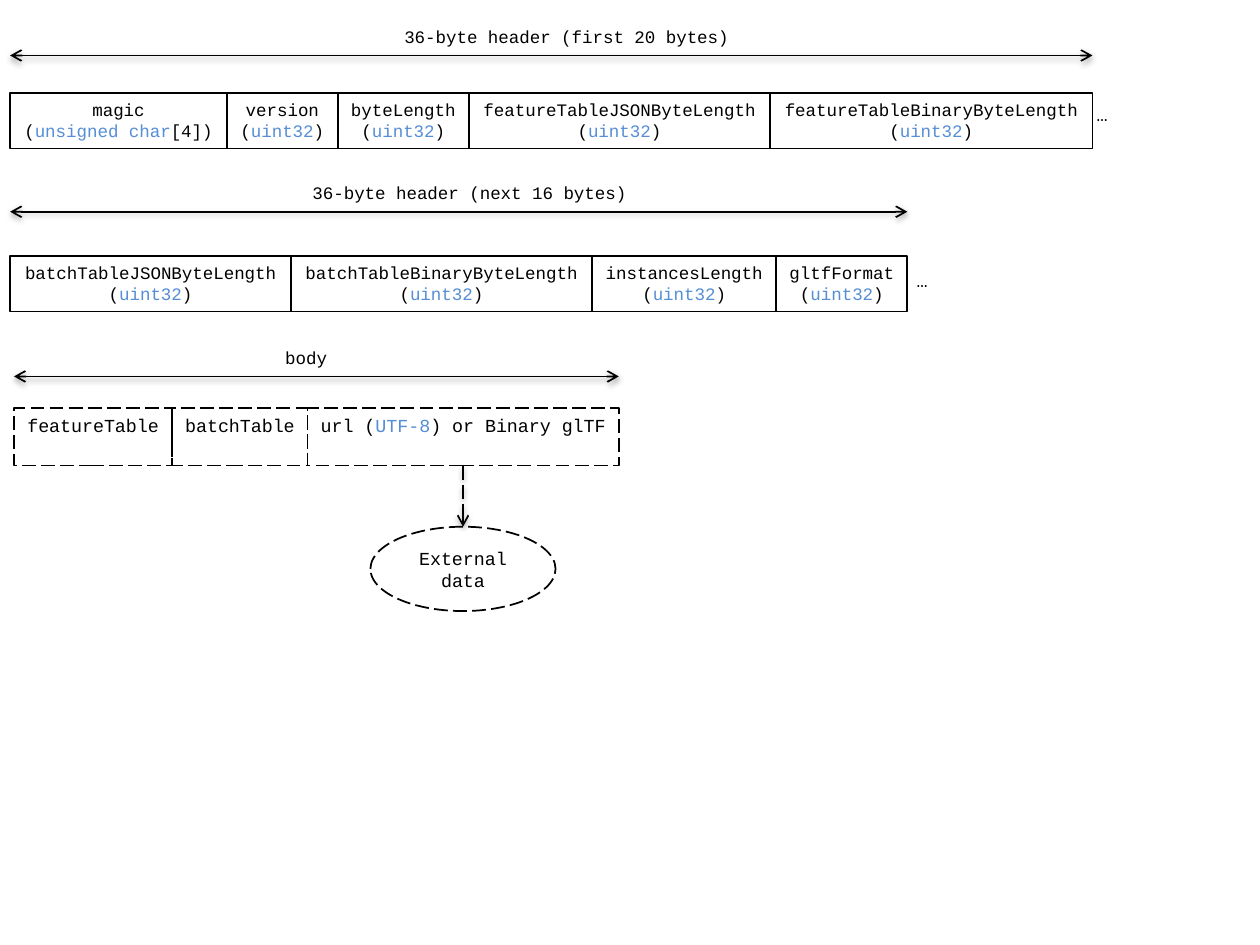
"""Builds a slide of the byte layout of an instanced tile file."""
from lxml.etree import SubElement
from pptx import Presentation
from pptx.dml.color import RGBColor
from pptx.enum.dml import MSO_LINE
from pptx.enum.shapes import MSO_CONNECTOR, MSO_SHAPE
from pptx.enum.text import MSO_ANCHOR, PP_ALIGN
from pptx.oxml.ns import qn
from pptx.util import Pt

BLACK = RGBColor(0x00, 0x00, 0x00)
WHITE = RGBColor(0xFF, 0xFF, 0xFF)
BLUE = RGBColor(0x55, 0x8E, 0xD5)
FONT = "Courier New"
UINT = ("(", "uint32", ")")


def set_all(obj, values):
    """Set attributes of obj from a dict."""
    for name, value in values.items():
        setattr(obj, name, value)


def write(sp, lines, size, wrap=False, anchor=MSO_ANCHOR.TOP):
    """Fill a shape with centred lines; the second run of a line is blue."""
    tf = sp.text_frame
    set_all(tf, {"word_wrap": wrap, "vertical_anchor": anchor})
    for i, runs in enumerate(lines):
        p = tf.paragraphs[0] if i == 0 else tf.add_paragraph()
        p.alignment = PP_ALIGN.CENTER
        for j, text in enumerate(runs):
            r = p.add_run()
            r.text = text
            set_all(r.font, {"name": FONT, "size": Pt(size)})
            r.font.color.rgb = BLUE if j == 1 else BLACK


def outline(sp, dashed):
    """Give a shape or connector its thin black line."""
    sp.line.color.rgb = BLACK
    sp.line.width = Pt(1)
    if dashed:
        sp.line.dash_style = MSO_LINE.LONG_DASH


def add_label(s, x, y, w, h, text, size=10):
    """Add one line of plain text."""
    sp = s.shapes.add_textbox(Pt(x), Pt(y), Pt(w), Pt(h))
    write(sp, [(text,)], size)


def add_box(s, kind, x, y, w, h, dashed=False):
    """Add an outlined, unfilled shape."""
    sp = s.shapes.add_shape(kind, Pt(x), Pt(y), Pt(w), Pt(h))
    sp.shadow.inherit = False
    sp.fill.background()
    outline(sp, dashed)
    return sp


def add_arrow(s, x1, y1, x2, y2, ends, dashed=False):
    """Add a line with open arrowheads and a soft shadow below."""
    sp = s.shapes.add_connector(
        MSO_CONNECTOR.STRAIGHT, Pt(x1), Pt(y1), Pt(x2), Pt(y2))
    outline(sp, dashed)
    ln = sp.line._get_or_add_ln()
    for end in ends:
        SubElement(ln, qn(f"a:{end}"), type="arrow")
    effects = SubElement(sp._element.spPr, qn("a:effectLst"))
    shadow = SubElement(effects, qn("a:outerShdw"), blurRad=str(Pt(3.1)),
                        dist=str(Pt(1.6)), dir="5400000", rotWithShape="0")
    clr = SubElement(shadow, qn("a:srgbClr"), val=str(BLACK))
    SubElement(clr, qn("a:alpha"), val="38000")


def add_row(s, x, y, h, fields, title, title_x, title_w, gap, size=10, dashed=False):
    """Add touching field boxes under a titled span arrow; return the right edge."""
    right = x
    for w, *lines in fields:
        sp = add_box(s, MSO_SHAPE.RECTANGLE, right, y, w, h, dashed)
        write(sp, lines, size)
        right += w
    add_arrow(s, x, y - gap, right, y - gap, ("headEnd", "tailEnd"))
    add_label(s, title_x, y - gap - 20.5, title_w, 19.4, title)
    return right


def add_external(s, x, y, w, h, stem):
    """Add the external data ellipse with a dashed arrow into its top."""
    sp = add_box(s, MSO_SHAPE.OVAL, x, y, w, h, dashed=True)
    sp.fill.solid()
    sp.fill.fore_color.rgb = WHITE
    write(sp, [("External data",)], 10.5, True, MSO_ANCHOR.MIDDLE)
    mid = x + w / 2
    add_arrow(s, mid, y - stem, mid, y, ("tailEnd",), dashed=True)


def main():
    """Build and save the slide."""
    prs = Presentation()
    set_all(prs, {"slide_width": Pt(720), "slide_height": Pt(540)})
    s = prs.slides.add_slide(prs.slide_layouts[6])

    first = [
        (123.8, ("magic",), ("(", "unsigned char", "[4])")),
        (63.4, ("version",), UINT),
        (74.9, ("byteLength",), UINT),
        (172.1, ("featureTableJSONByteLength",), UINT),
        (184.3, ("featureTableBinaryByteLength",), UINT),
    ]
    right = add_row(s, 5.8, 53.3, 31.7, first,
                    "36-byte header (first 20 bytes)", 222.5, 202.3, 21.6)
    add_label(s, right - 5, 55.4, 20.9, 33.8, "…", 10.5)

    following = [
        (160.4, ("batchTableJSONByteLength",), UINT),
        (172.1, ("batchTableBinaryByteLength",), UINT),
        (105.3, ("instancesLength",), UINT),
        (74.9, ("gltfFormat",), UINT),
    ]
    right = add_row(s, 5.8, 146.3, 31.7, following,
                    "36-byte header (next 16 bytes)", 169.9, 196.6, 25.3)
    add_label(s, right - 2, 150.5, 20.9, 33.8, "…", 10.5)

    body = [
        (90.4, ("featureTable",)),
        (77.4, ("batchTable",)),
        (177.8, ("url (", "UTF-8", ") or Binary glTF")),
    ]
    add_row(s, 8, 233.3, 32.7, body, "body", 155.5, 38.9, 18.2, 10.5, True)
    add_external(s, 211.7, 301, 105.8, 48.2, 34.8)

    prs.save("out.pptx")


main()
